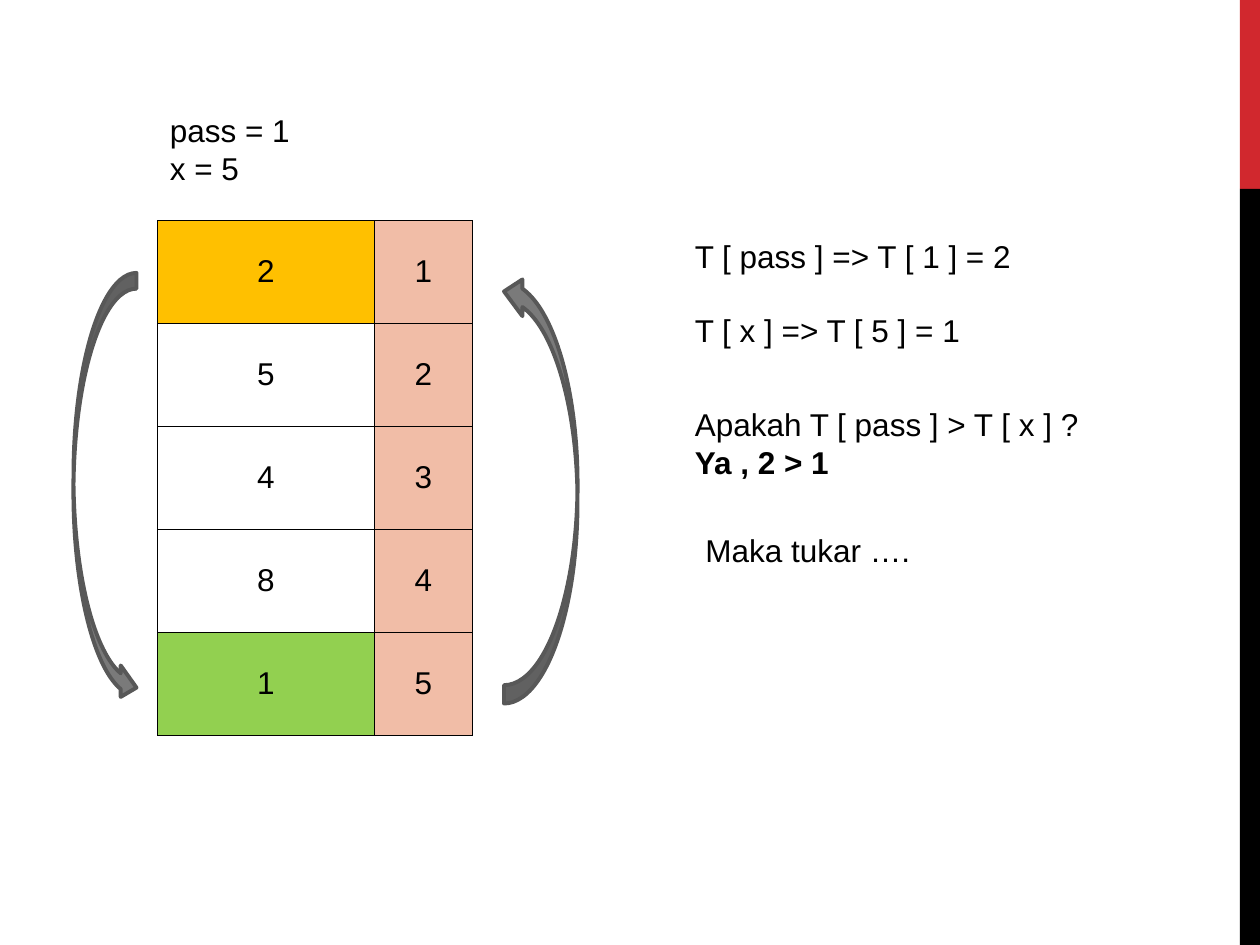
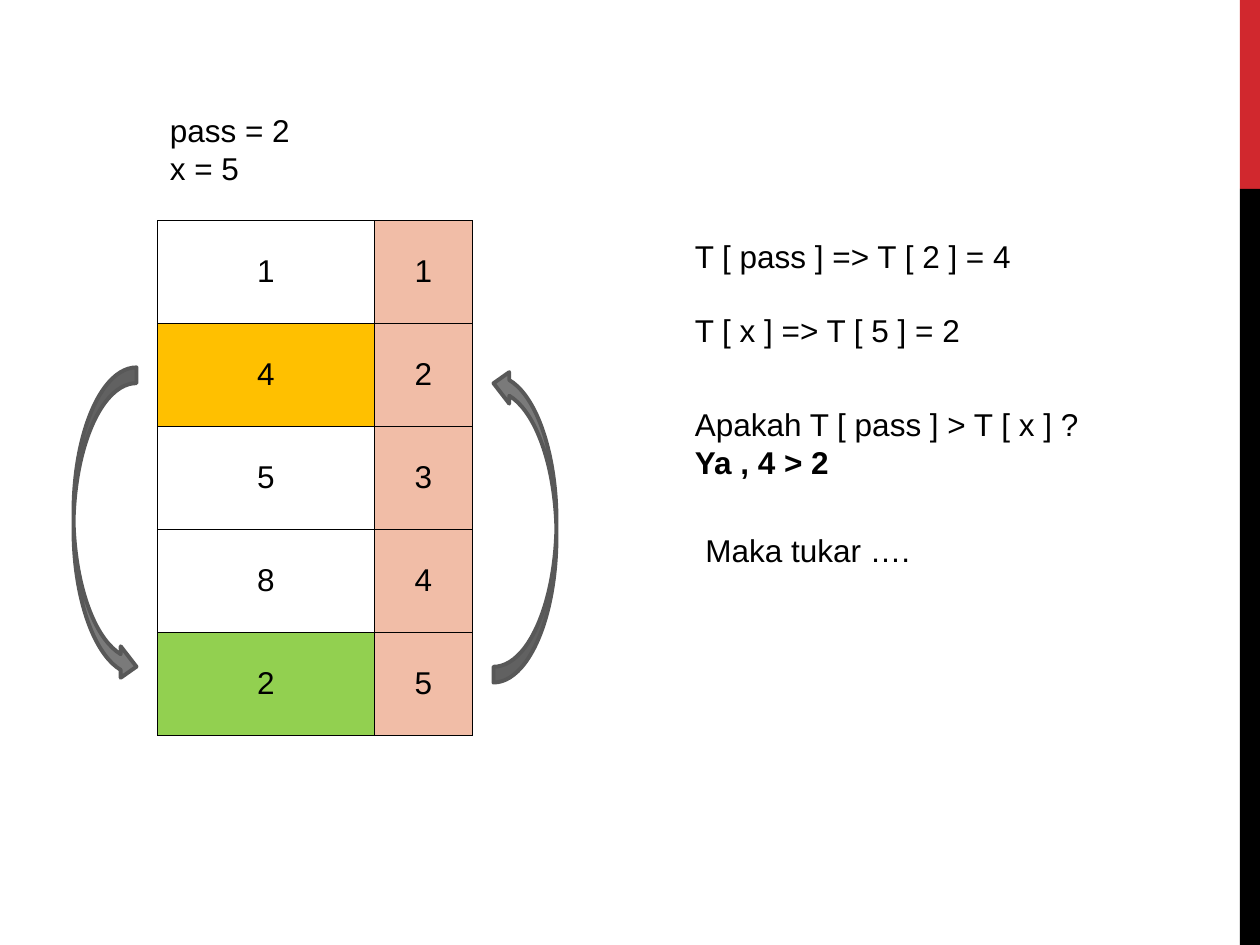
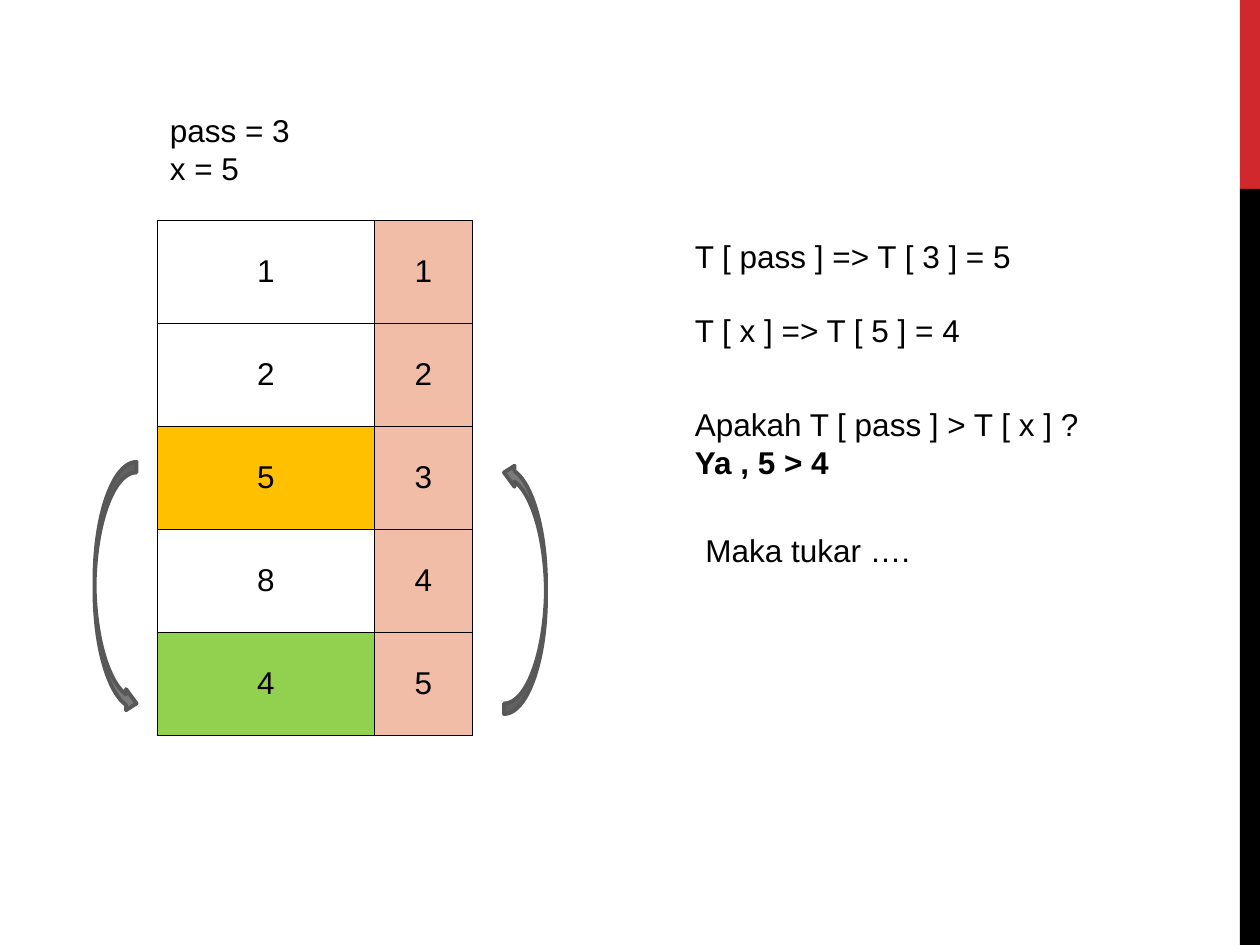
from dataclasses import dataclass

from lxml.etree import SubElement
from pptx import Presentation
from pptx.dml.color import RGBColor
from pptx.enum.shapes import MSO_SHAPE
from pptx.enum.text import MSO_ANCHOR, PP_ALIGN
from pptx.oxml import parse_xml
from pptx.oxml.ns import nsdecls, qn
from pptx.util import Pt

# Content: one sorting pass per slide; arrows give left width, right x, right width
X = 5
PASSES = [
    {"pass": 1, "values": [2, 5, 4, 8, 1], "arrow_height": 246, "arrows": (36, 288, 42)},
    {"pass": 2, "values": [1, 4, 5, 8, 2], "arrow_height": 180, "arrows": (36, 282, 36)},
    {"pass": 3, "values": [1, 2, 5, 8, 4], "arrow_height": 144, "arrows": (24, 288, 24)},
]


@dataclass(frozen=True)
class Theme:
    font: str = "Arial"
    size: int = 18
    text: str = "000000"
    band_top: str = "D1282E"
    band_bottom: str = "000000"
    index: str = "F1BDA7"
    pass_cell: str = "FFC000"
    x_cell: str = "92D050"
    arrow: str = "7A7A7A"
    arrow_line: str = "585858"
    border: str = "000000"


THEME = Theme()

# Geometry in points
SLIDE_W, SLIDE_H = 720, 540
BAND_W, BAND_SPLIT = 11.52, 108
TABLE_X, TABLE_Y = 90, 126
COL_WIDTHS = (123.84, 56.16)
ROW_H = 58.8
LEFT_ARROW_EDGE = 78
ARROW_Y, ARROW_STEP = 156, 54
LINE_GAP = 20.7


def rgb(value):
    return RGBColor.from_string(value)


def style_font(font):
    font.name, font.size = THEME.font, Pt(THEME.size)
    font.color.rgb = rgb(THEME.text)


def add_shape(slide, kind, box, fill, line=None):
    sp = slide.shapes.add_shape(kind, *map(Pt, box))
    sp.shadow.inherit = False
    sp.fill.solid()
    sp.fill.fore_color.rgb = rgb(fill)
    if line:
        sp.line.color.rgb = rgb(line)
        sp.line.width = Pt(2.25)
    else:
        sp.line.fill.background()
    return sp


def add_text(slide, box, paragraphs, gap=0):
    """Each paragraph is a list of (text, bold) runs."""
    tf = slide.shapes.add_textbox(*map(Pt, box)).text_frame
    tf.word_wrap = True
    for i, runs in enumerate(paragraphs):
        p = tf.add_paragraph() if i else tf.paragraphs[0]
        style_font(p.font)
        if i:
            p.space_before = Pt(gap)
        for text, bold in runs:
            r = p.add_run()
            r.text = text
            style_font(r.font)
            if bold:
                r.font.bold = True


def set_borders(cell):
    tcPr = cell._tc.get_or_add_tcPr()
    for i, side in enumerate(("lnL", "lnR", "lnT", "lnB")):
        ln = parse_xml(f'<a:{side} {nsdecls("a")} w="{Pt(0.45)}"/>')
        fill = SubElement(ln, qn("a:solidFill"))
        SubElement(fill, qn("a:srgbClr"), val=THEME.border)
        tcPr.insert(i, ln)


def add_array(slide, values, marks):
    """Values on the left, their 1-based indexes on the right."""
    frame = slide.shapes.add_table(len(values), 2, Pt(TABLE_X), Pt(TABLE_Y),
                                   Pt(sum(COL_WIDTHS)), Pt(ROW_H * len(values)))
    table = frame.table
    table.first_row = table.horz_banding = False
    for col, width in zip(table.columns, COL_WIDTHS):
        col.width = Pt(width)
    for i, value in enumerate(values, 1):
        table.rows[i - 1].height = Pt(ROW_H)
        for c, (number, fill) in enumerate(((value, marks.get(i)), (i, THEME.index))):
            cell = table.cell(i - 1, c)
            cell.text = str(number)
            cell.vertical_anchor = MSO_ANCHOR.MIDDLE
            p = cell.text_frame.paragraphs[0]
            p.alignment = PP_ALIGN.CENTER
            style_font(p.font)
            if fill:
                cell.fill.solid()
                cell.fill.fore_color.rgb = rgb(fill)
            else:
                cell.fill.background()
            set_borders(cell)


def add_swap_arrows(slide, step):
    left_w, right_x, right_w = step["arrows"]
    top = ARROW_Y + ARROW_STEP * (step["pass"] - 1)
    for x, w, turn in ((LEFT_ARROW_EDGE - left_w, left_w, 0), (right_x, right_w, 180)):
        sp = add_shape(slide, MSO_SHAPE.CURVED_RIGHT_ARROW,
                       (x, top, w, step["arrow_height"]), THEME.arrow, THEME.arrow_line)
        sp.rotation = turn


def add_bands(slide, layout):
    """Side bands, moved to the layout that all slides share."""
    x = SLIDE_W - BAND_W
    for y, h, fill in ((0, BAND_SPLIT, THEME.band_top),
                       (BAND_SPLIT, SLIDE_H - BAND_SPLIT, THEME.band_bottom)):
        sp = add_shape(slide, MSO_SHAPE.RECTANGLE, (x, y, BAND_W, h), fill)
        layout.shapes.element.append(sp.element)


def add_pass(slide, step):
    n, values = step["pass"], step["values"]
    a, b = values[n - 1], values[X - 1]
    add_array(slide, values, {n: THEME.pass_cell, X: THEME.x_cell})
    add_text(slide, (90, 60, 132, 50.4), [[(f"pass = {n}", False)], [(f"x = {X}", False)]])
    add_text(slide, (390, 132, 258, 72),
             [[(f"T [ pass ] => T [ {n} ] = {a}", False)],
              [(f"T [ x ] => T [ {X} ] = {b}", False)]], LINE_GAP)
    add_text(slide, (390, 228, 246, 50.4),
             [[("Apakah T [ pass ] > T [ x ] ? ", False), (f"Ya , {a} > {b}", True)]])
    add_text(slide, (396, 300, 228, 28.8), [[("Maka tukar ….", False)]])
    add_swap_arrows(slide, step)


def main():
    prs = Presentation()
    prs.slide_width, prs.slide_height = Pt(SLIDE_W), Pt(SLIDE_H)
    layout = prs.slide_layouts[6]
    slides = [prs.slides.add_slide(layout) for _ in PASSES]
    add_bands(slides[0], layout)
    for slide, step in zip(slides, PASSES):
        add_pass(slide, step)
    prs.save("out.pptx")


if __name__ == "__main__":
    main()
